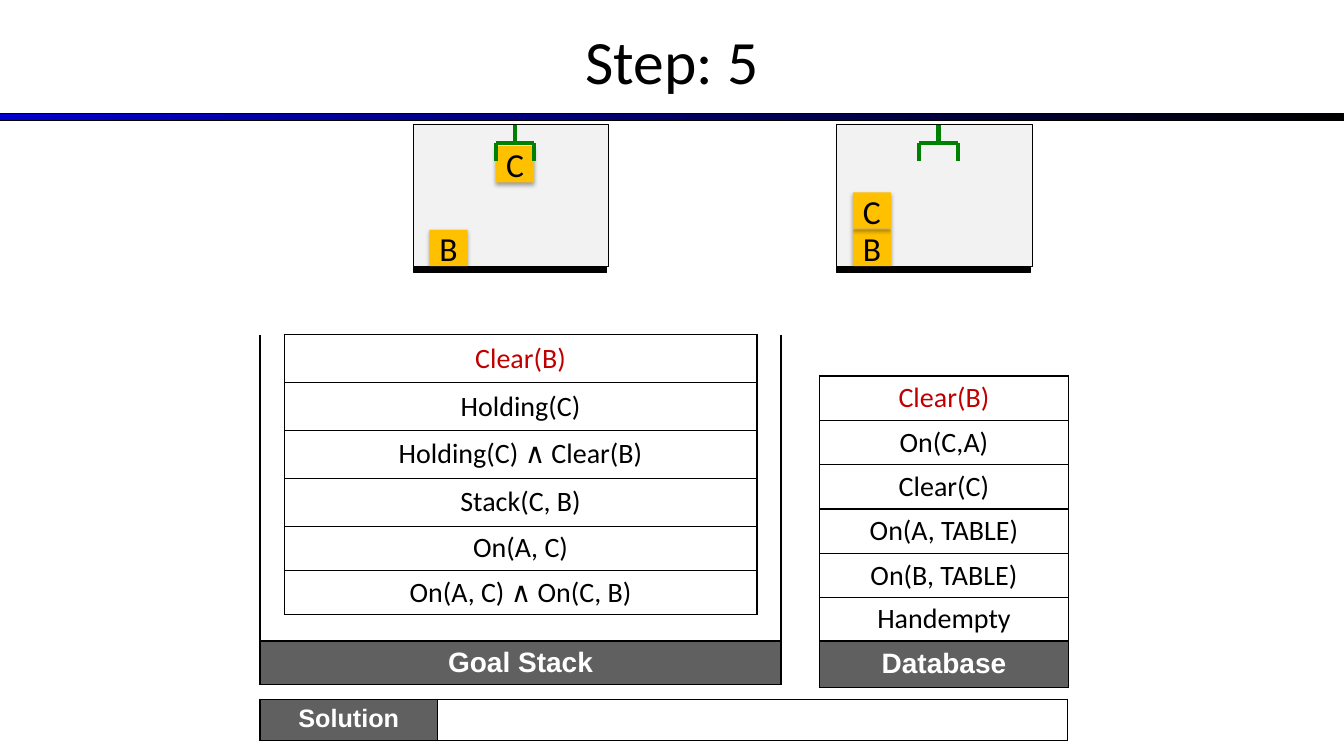
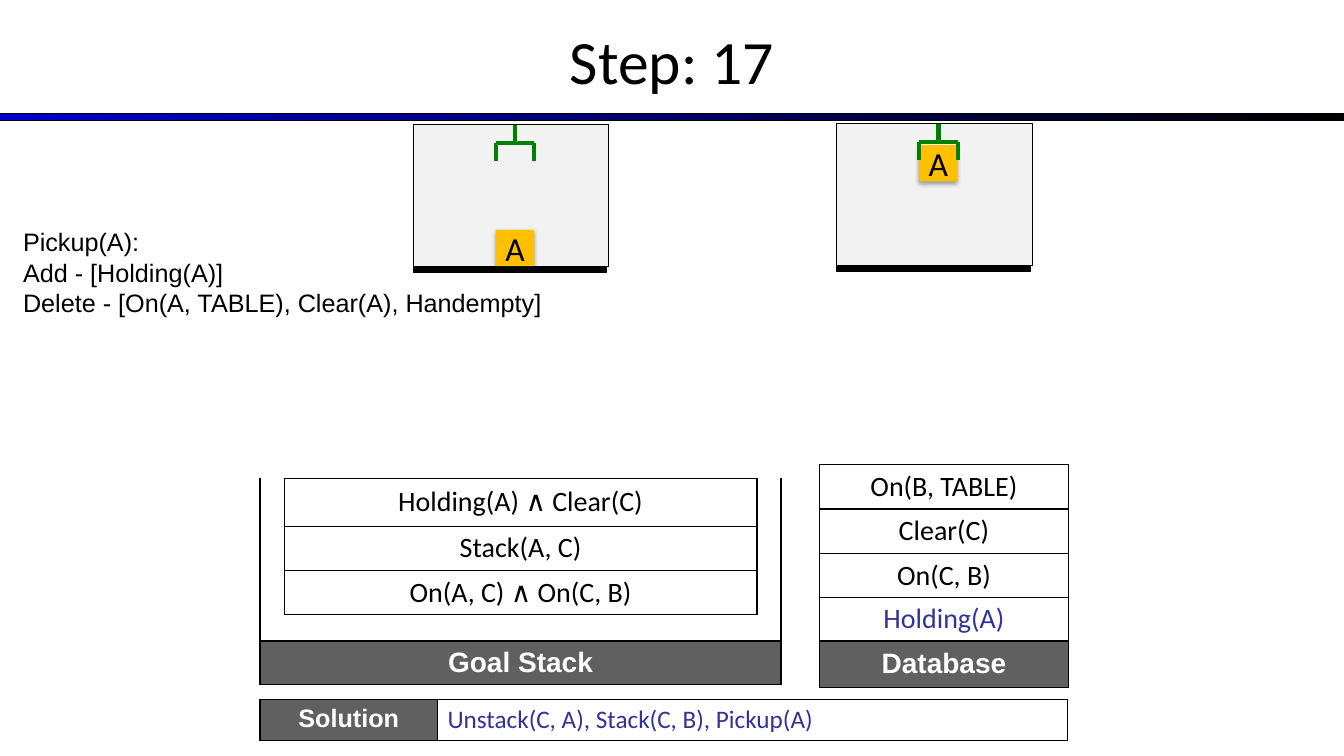
from lxml import etree
from pptx import Presentation, util as u
from pptx.dml.color import RGBColor
from pptx.enum import shapes, text
from pptx.oxml.ns import qn

WIDE, HIGH = 133.33, 75
BLACK, WHITE, GREY = "000000", "FFFFFF", "606060"
RED, BLUE, GREEN, GOLD, PALE = "C00000", "333299", "008000", "FFC000", "F2F2F2"
BODY, HEAD = "Calibri", "Arial"
MID = text.MSO_ANCHOR.MIDDLE
MARK = {"Clear(B)": RED, "Holding(A)": BLUE}
GOALS = [4.75] * 4 + [4.4] * 2 + [2.6, 4.3]
FACTS = [4.4] * 5 + [4.3, 4.6]


def grid(*units):
    return [u.Inches(n / 10) for n in units]


def tint(code):
    return RGBColor.from_string(code)


def write(par, words, size, face=BODY, hue=BLACK, bold=False, mid=True):
    par.alignment = text.PP_ALIGN.CENTER if mid else text.PP_ALIGN.LEFT
    run = par.add_run()
    run.text = words
    font = run.font
    font.size, font.name, font.bold = u.Pt(size), face, bold
    font.color.rgb = tint(hue)


def box(parent, place, fill, edge=None):
    shape = parent.add_shape(shapes.MSO_SHAPE.RECTANGLE, *grid(*place))
    shape.shadow.inherit = False
    if fill:
        shape.fill.solid()
        shape.fill.fore_color.rgb = tint(fill)
    if edge:
        shape.line.color.rgb = tint(edge)
        shape.line.width = u.Pt(0.75)
    else:
        shape.line.fill.background()
    return shape


def line(parent, *ends):
    link = parent.add_connector(shapes.MSO_CONNECTOR.STRAIGHT, *grid(*ends))
    link.line.color.rgb = tint(GREEN)
    link.line.width = u.Pt(3)
    etree.SubElement(link._element.spPr, qn("a:effectLst"))


def note(slide, place, lines, size, face, mid):
    frame = slide.shapes.add_textbox(*grid(*place)).text_frame
    frame.word_wrap = True
    frame.vertical_anchor = MID if mid else text.MSO_ANCHOR.TOP
    for i, words in enumerate(lines):
        par = frame.add_paragraph() if i else frame.paragraphs[0]
        write(par, words, size, face, mid=mid)


def block(parent, name, x, y):
    shape = box(parent, (x, y, 3.8, 3.6), GOLD)
    glow = etree.SubElement(
        shape._element.spPr.find(qn("a:effectLst")), qn("a:outerShdw"),
        blurRad=str(u.Pt(3.1)), dist=str(u.Pt(1.8)), dir="5400000", rotWithShape="0")
    shade = etree.SubElement(glow, qn("a:srgbClr"), val=BLACK)
    etree.SubElement(shade, qn("a:alpha"), val="35000")
    frame = shape.text_frame
    frame.word_wrap = False
    frame.vertical_anchor = MID
    write(frame.paragraphs[0], name, 24)


def world(slide, x, y, piles, held=None):
    group = slide.shapes.add_group_shape().shapes
    box(group, (x, y, 19.4, 14), PALE, BLACK)
    box(group, (x, y + 14.1, 19.2, 0.5), BLACK, BLACK)
    for col, pile in enumerate(piles):
        for row, name in enumerate(pile):
            block(group, name, x + 1.6 + 6.6 * col, y + 10.4 - 3.7 * row)
    left, right, bar = x + 8.2, x + 12, y + 1.8
    if held:
        block(group, held, left, y + 2.1)
    line(group, left, bar, right, bar)
    line(group, x + 10.1, y, x + 10.1, bar)
    for side in (left, right):
        line(group, side, bar, side, bar + 1.8)


def table(slide, x, y, cols, rows):
    grid_box = slide.shapes.add_table(len(rows), len(cols), *grid(x, y, sum(cols), sum(rows)))
    tab = grid_box.table
    tab.first_row = tab.horz_banding = False
    for parts, sizes in ((tab.columns, cols), (tab.rows, rows)):
        for part, size in zip(parts, grid(*sizes)):
            if parts is tab.columns:
                part.width = size
            else:
                part.height = size
    return tab


def cell(tab, row, col, sides="", words="", fill=None, size=20, anchor=MID, **look):
    spot = tab.cell(row, col)
    spot.vertical_anchor = anchor
    props = spot._tc.get_or_add_tcPr()
    for side in "LRTB":
        edge = etree.SubElement(props, qn("a:ln" + side), w=str(u.Pt(1)))
        if side in sides:
            paint = etree.SubElement(edge, qn("a:solidFill"))
            etree.SubElement(paint, qn("a:srgbClr"), val=BLACK)
        else:
            etree.SubElement(edge, qn("a:noFill"))
    if fill:
        spot.fill.solid()
        spot.fill.fore_color.rgb = tint(fill)
    else:
        spot.fill.background()
    par = spot.text_frame.paragraphs[0]
    if words:
        write(par, words, size, **look)
    else:
        etree.SubElement(par._p, qn("a:endParaRPr"), sz="800")
    return par


def label(tab, row, col, sides, words, **look):
    cell(tab, row, col, sides, words, GREY, face=HEAD, hue=WHITE, bold=True, **look)


def goals(slide, items):
    tab = table(slide, 25.8, 33.2, [2.35, 46.9, 2.35], GOALS)
    gap = 6 - len(items)
    for row in range(6):
        full = row >= gap
        words = items[row - gap] if full else ""
        sides = "LRTB" if full else "B" if row == gap - 1 else ""
        cell(tab, row, 1, sides, words, hue=MARK.get(words, BLACK))
        for col in (0, 2):
            cell(tab, row, col, "LR" if full else "")
    for col, sides in enumerate(("LB", "TB", "RB")):
        cell(tab, 6, col, sides)
    cell(tab, 7, 0, "LTB", fill=GREY)
    label(tab, 7, 1, "TB", "Goal Stack")
    cell(tab, 7, 2, "RTB", fill=GREY)


def facts(slide, items):
    tab = table(slide, 81.3, 37.3, [24.7], FACTS)
    gap = 6 - len(items)
    for row in range(6):
        full = row >= gap
        words = items[row - gap] if full else ""
        sides = "LRTB" if full else "B" if row == gap - 1 else ""
        par = cell(tab, row, 0, sides, words, hue=MARK.get(words, BLACK))
    par.line_spacing = 0.85
    label(tab, 6, 0, "LRTB", "Database")


def answer(slide, words):
    top = text.MSO_ANCHOR.TOP
    tab = table(slide, 25.8, 69.4, [17.6, 62.5], [4.1])
    label(tab, 0, 0, "LRTB", "Solution", size=18, anchor=top)
    cell(tab, 0, 1, "LRTB", words, size=18, anchor=top, hue=BLUE, mid=False)


def step(deck, count, stack, base, plan=""):
    slide = deck.slides.add_slide(deck.slide_layouts[6])
    band = box(slide.shapes, (0, 11.3, WIDE, 0.7), None, BLACK)
    band.fill.gradient()
    band.fill.gradient_angle = 0
    for stop, hue in zip(band.fill.gradient_stops, ("0000CC", BLACK)):
        stop.color.rgb = tint(hue)
    note(slide, (0, -0.3, WIDE, 12.5), [f"Step: {count}"], 44, BODY, True)
    goals(slide, stack)
    facts(slide, base)
    answer(slide, plan)
    return slide


def main():
    deck = Presentation()
    deck.slide_width, deck.slide_height = grid(WIDE, HIGH)

    slide = step(
        deck, 5,
        ["Clear(B)", "Holding(C)", "Holding(C) ∧ Clear(B)", "Stack(C, B)",
         "On(A, C)", "On(A, C) ∧ On(C, B)"],
        ["Clear(B)", "On(C,A)", "Clear(C)", "On(A, TABLE)", "On(B, TABLE)", "Handempty"])
    world(slide, 41, 12.4, ["B"], "C")
    world(slide, 83, 12.4, ["BC"])

    slide = step(
        deck, 17,
        ["Holding(A) ∧ Clear(C)", "Stack(A, C)", "On(A, C) ∧ On(C, B)"],
        ["On(B, TABLE)", "Clear(C)", "On(C, B)", "Holding(A)"],
        "Unstack(C, A), Stack(C, B), Pickup(A)")
    world(slide, 41, 12.4, ["", "A"])
    world(slide, 83, 12.3, [], "A")
    note(slide, (1.3, 22, 66.8, 10.1),
         ["Pickup(A):", "Add - [Holding(A)]", "Delete - [On(A, TABLE), Clear(A), Handempty]"],
         18, HEAD, False)

    deck.save("out.pptx")


if __name__ == "__main__":
    main()
